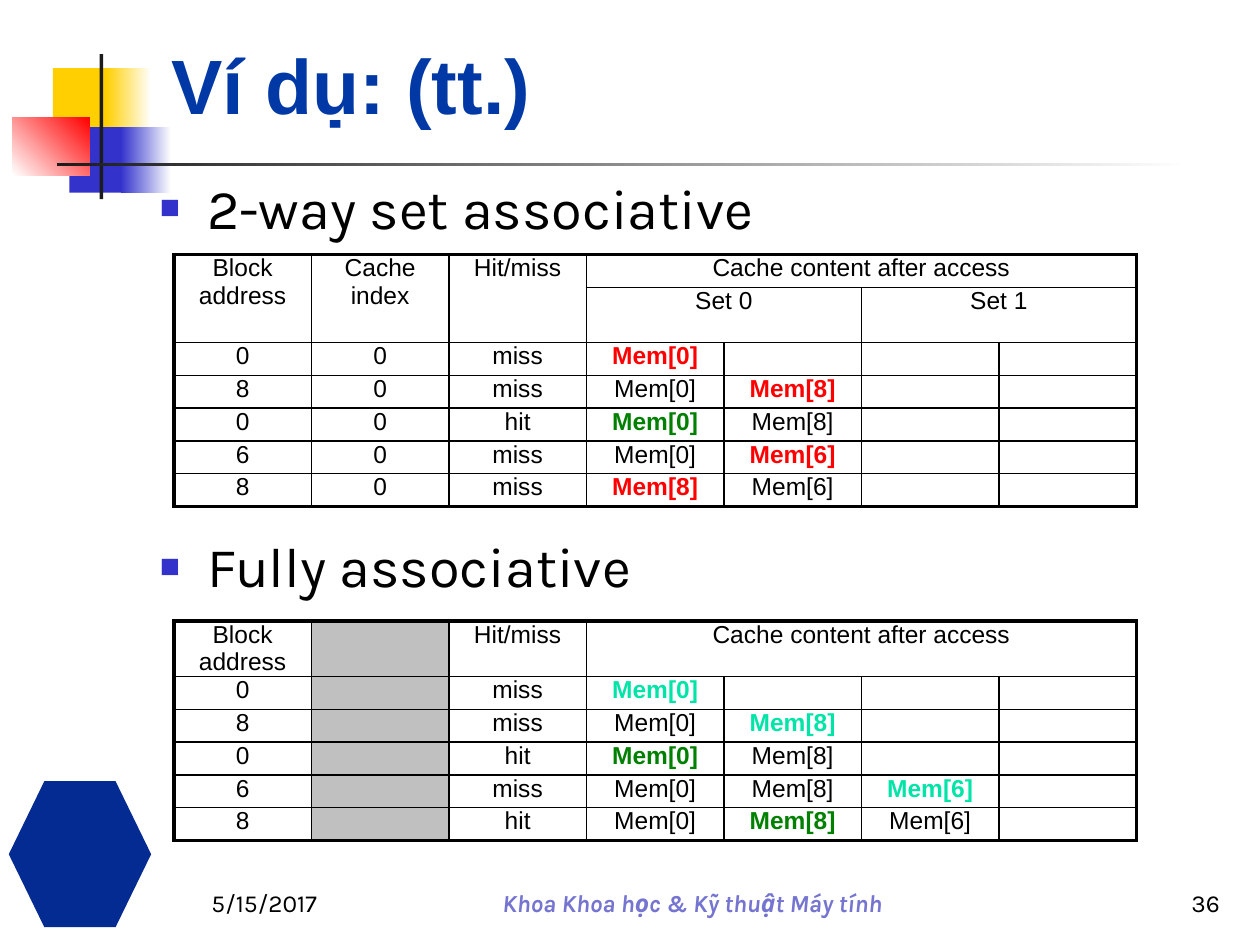
from dataclasses import dataclass
from typing import NamedTuple, Optional

import pptx
import pptx.dml.color
import pptx.enum.shapes
import pptx.enum.text
import pptx.oxml
import pptx.oxml.ns
import pptx.util

# The slide is a grid of 100 columns by 75 rows of square units
COLUMNS, ROWS = 100, 75
UNIT = pptx.util.Inches(0.1)

BLACK, WHITE, GREY = "000000", "FFFFFF", "C0C0C0"
YELLOW, BLUE, DARK = "FFCF01", "3333CC", "1C1C1C"
RED, GREEN, MINT = "FF0000", "008000", "00E4A8"
THIN, THICK = 1, 2.25
ALIGN = pptx.enum.text.PP_ALIGN
ANCHOR = pptx.enum.text.MSO_ANCHOR
SHAPES = pptx.enum.shapes.MSO_SHAPE


class Box(NamedTuple):
    left: float
    top: float
    width: float
    height: float


@dataclass
class Block:
    box: Box
    colour: str
    end_colour: Optional[str] = None
    angle: float = 0
    kind: int = SHAPES.RECTANGLE


@dataclass
class Label:
    box: Box
    text: str
    format: dict
    alignment: int = ALIGN.LEFT


class Bullet(NamedTuple):
    box: Box
    text: str
    line_spacing: float


class Entry(NamedTuple):
    text: str = ""
    colour: str = BLACK
    bold: bool = False
    fill: Optional[str] = None


@dataclass
class CacheTable:
    left: float
    top: float
    row_heights: list
    entries: list
    merges: list


def rgb(colour: str):
    return pptx.dml.color.RGBColor.from_string(colour)


def units(*values: float) -> list:
    return [round(value * UNIT) for value in values]


def append_xml(parent, markup: str) -> None:
    tag, rest = markup.split(" ", 1)
    namespace = pptx.oxml.ns.nsdecls("a")
    parent.append(pptx.oxml.parse_xml(f"<{tag} {namespace} {rest}"))


def format_font(font, colour: str, **values) -> None:
    for name, value in values.items():
        setattr(font, name, pptx.util.Pt(value) if name == "size" else value)
    font.color.rgb = rgb(colour)


def draw_block(slide, block: Block) -> None:
    shape = slide.shapes.add_shape(block.kind, *units(*block.box))
    shape.shadow.inherit = False
    shape.line.fill.background()
    if block.end_colour is None:
        shape.fill.solid()
        shape.fill.fore_color.rgb = rgb(block.colour)
        return
    shape.fill.gradient()
    shape.fill.gradient_angle = block.angle
    for stop, colour in zip(shape.fill.gradient_stops, (block.colour, block.end_colour)):
        stop.color.rgb = rgb(colour)


def write_label(shape, label: Label):
    for name, value in zip(("left", "top", "width", "height"), units(*label.box)):
        setattr(shape, name, value)
    frame = shape.text_frame
    frame.word_wrap = True
    frame.auto_size = pptx.enum.text.MSO_AUTO_SIZE.NONE
    frame.vertical_anchor = ANCHOR.BOTTOM
    paragraph = frame.paragraphs[0]
    paragraph.alignment = label.alignment
    run = paragraph.add_run()
    run.text = label.text
    format_font(run.font, **label.format)
    return paragraph


def draw_bullet(slide, bullet: Bullet) -> None:
    shape = slide.shapes.add_textbox(*units(*bullet.box))
    style = dict(colour=BLACK, name="Karla", size=32)
    paragraph = write_label(shape, Label(bullet.box, bullet.text, style))
    shape.text_frame.vertical_anchor = ANCHOR.TOP
    paragraph.line_spacing = bullet.line_spacing
    properties = paragraph._p.get_or_add_pPr()
    indent = units(3.75)[0]
    properties.set("marL", str(indent))
    properties.set("indent", str(-indent))
    for markup in (f'a:buClr ><a:srgbClr val="{BLUE}"/></a:buClr>',
                   'a:buSzPct val="60000"/>', 'a:buFont typeface="Arial"/>',
                   'a:buChar char="■"/>'):
        append_xml(properties, markup)


def draw_borders(cell, row: int, column: int, row_count: int, column_count: int) -> None:
    outer = {"L": column == 0, "R": column + cell.span_width == column_count,
             "T": row == 0, "B": row + cell.span_height == row_count}
    for side, is_outer in outer.items():
        if cell.is_spanned and not is_outer:
            continue
        width = pptx.util.Pt(THICK if is_outer else THIN)
        append_xml(cell._tc.get_or_add_tcPr(),
                   f'a:ln{side} w="{width}"><a:solidFill><a:srgbClr val="{BLACK}"/>'
                   f'</a:solidFill></a:ln{side}>')


def fill_cell(cell, entry: Entry) -> None:
    for name, value in dict(margin_left=1, margin_right=1, margin_top=0, margin_bottom=0).items():
        setattr(cell, name, units(value)[0])
    if entry.fill:
        cell.fill.solid()
        cell.fill.fore_color.rgb = rgb(entry.fill)
    else:
        cell.fill.background()
    paragraph = cell.text_frame.paragraphs[0]
    paragraph.alignment = ALIGN.CENTER
    if entry.text:
        run = paragraph.add_run()
        run.text = entry.text
        format_font(run.font, entry.colour, name="Arial", size=14, bold=entry.bold)
    else:
        append_xml(paragraph._p, 'a:endParaRPr sz="1400"/>')


def draw_table(slide, data: CacheTable) -> None:
    row_count, column_count = len(data.entries), 7
    size = (76.4, sum(data.row_heights))
    table = slide.shapes.add_table(row_count, column_count,
                                   *units(data.left, data.top, *size)).table
    table.first_row = table.horz_banding = False
    for column in table.columns:
        column.width = units(size[0] / column_count)[0]
    for row, height in zip(table.rows, data.row_heights):
        row.height = units(height)[0]
    for first, last in data.merges:
        table.cell(*first).merge(table.cell(*last))
    for row, entries in enumerate(data.entries):
        for column in range(column_count):
            cell = table.cell(row, column)
            draw_borders(cell, row, column, row_count, column_count)
            fill_cell(cell, entries[column] if column < len(entries) else Entry())


def access(address: str, index: Entry, result: str, *contents: Entry) -> list:
    return [Entry(address), index, Entry(result), *contents]


def memory(block: int, colour: str = BLACK) -> Entry:
    return Entry(f"Mem[{block}]", colour, colour != BLACK)


# Decoration: coloured squares, crossing bars and a plain emblem
BLOCKS = [
    Block(Box(4.2, 5.4, 4.8, 5.2), YELLOW),
    Block(Box(8.4, 5.4, 3.6, 5.2), YELLOW, WHITE),
    Block(Box(5.5, 10.1, 4.6, 5.2), BLUE),
    Block(Box(9.6, 10.1, 4, 5.2), BLUE, WHITE),
    Block(Box(1, 9.3, 6.1, 4.6), WHITE, RED, 45),
    Block(Box(7.9, 4.3, 0.3, 11.5), DARK),
    Block(Box(4.5, 12.9, 90, 0.3), DARK, WHITE),
    Block(Box(0.7, 62, 11.3, 11.6), "032B91", kind=SHAPES.HEXAGON),
]

TITLE = Label(Box(12.6, 2.3, 85.2, 8.5), "Ví dụ: (tt.)",
              dict(colour="0039A6", name="Arial", size=44, bold=True))
FOOTER = dict(colour=BLACK, name="Karla", size=14)
FOOTERS = [
    Label(Box(15.8, 68.3, 14.2, 5), "5/15/2017", FOOTER),
    Label(Box(30.8, 70, 48.3, 3.3), "Khoa Khoa học & Kỹ thuật Máy tính",
          {**FOOTER, "colour": "7575D1", "bold": True, "italic": True}, ALIGN.CENTER),
    Label(Box(83.3, 68.3, 14.5, 5), "36", FOOTER, ALIGN.RIGHT),
]
BULLETS = [Bullet(Box(11.7, 13.3, 85, 6.3), "2-way set associative", 1),
           Bullet(Box(11.7, 42.3, 85, 6.3), "Fully associative", 0.9)]

# Cache contents after each access
ZERO, SHADED = Entry("0"), Entry(fill=GREY)
ADDRESS, RESULT, CONTENT = map(Entry, ("Block address", "Hit/miss", "Cache content after access"))
TABLES = [
    CacheTable(13.8, 20.2, [2.6, 4.4] + [2.6] * 5, [
        [ADDRESS, Entry("Cache index"), RESULT, CONTENT],
        [Entry(), Entry(), Entry(), Entry("Set 0"), Entry(), Entry("Set 1")],
        access("0", ZERO, "miss", memory(0, RED)),
        access("8", ZERO, "miss", memory(0), memory(8, RED)),
        access("0", ZERO, "hit", memory(0, GREEN), memory(8)),
        access("6", ZERO, "miss", memory(0), memory(6, RED)),
        access("8", ZERO, "miss", memory(8, RED), memory(6)),
    ], [((0, column), (1, column)) for column in range(3)]
        + [((0, 3), (0, 6)), ((1, 3), (1, 4)), ((1, 5), (1, 6))]),
    CacheTable(13.8, 49.3, [4.4] + [2.6] * 5, [
        [ADDRESS, SHADED, RESULT, CONTENT],
        access("0", SHADED, "miss", memory(0, MINT)),
        access("8", SHADED, "miss", memory(0), memory(8, MINT)),
        access("0", SHADED, "hit", memory(0, GREEN), memory(8)),
        access("6", SHADED, "miss", memory(0), memory(8), memory(6, MINT)),
        access("8", SHADED, "hit", memory(0), memory(8, GREEN), memory(6)),
    ], [((0, 3), (0, 6))]),
]


def main() -> None:
    presentation = pptx.Presentation()
    presentation.slide_width, presentation.slide_height = units(COLUMNS, ROWS)
    slide = presentation.slides.add_slide(presentation.slide_layouts[5])
    for block in BLOCKS:
        draw_block(slide, block)
    write_label(slide.shapes.title, TITLE)
    for label in FOOTERS:
        write_label(slide.shapes.add_textbox(*units(*label.box)), label)
    for bullet, table in zip(BULLETS, TABLES):
        draw_bullet(slide, bullet)
        draw_table(slide, table)
    presentation.save("out.pptx")


if __name__ == "__main__":
    main()
